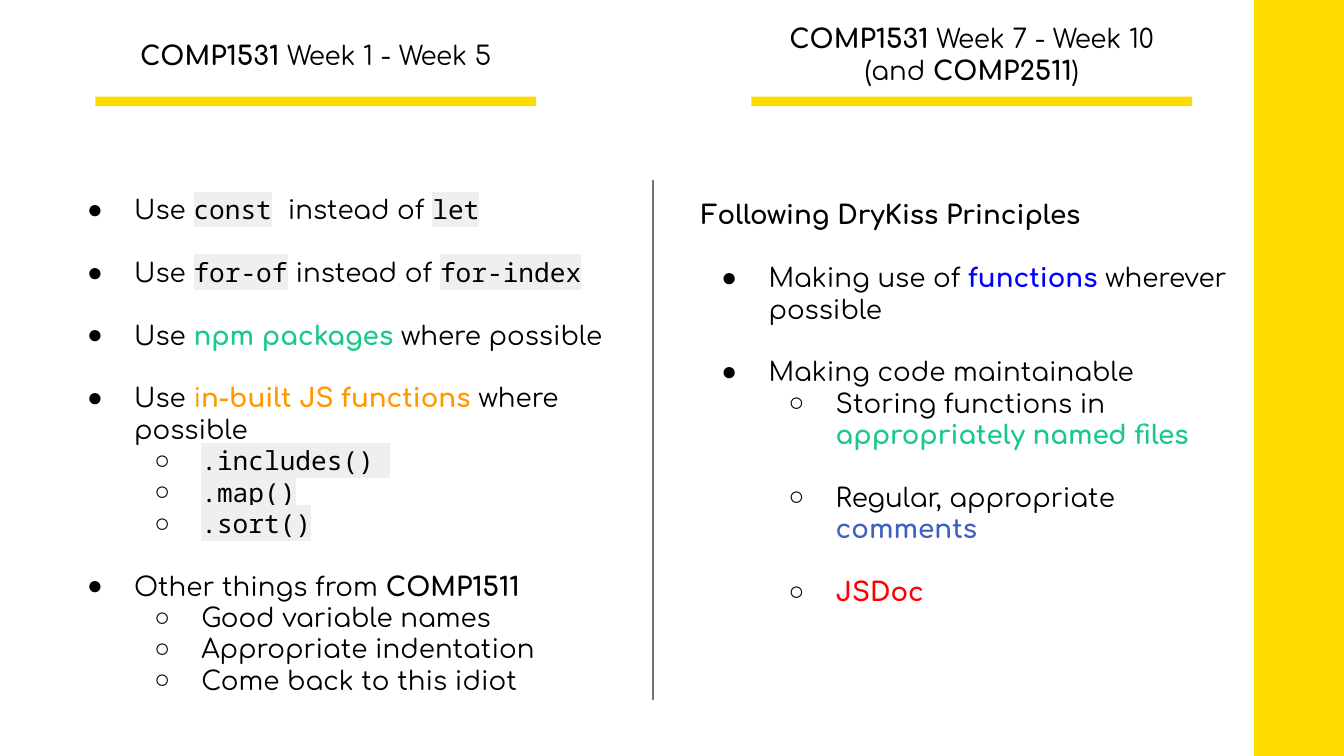
"""Build a slide comparing the code style topics of two halves of a course."""
from lxml.etree import SubElement
from pptx import Presentation
from pptx.dml.color import RGBColor
from pptx.enum.shapes import MSO_CONNECTOR, MSO_SHAPE
from pptx.enum.text import MSO_ANCHOR, MSO_AUTO_SIZE, PP_ALIGN
from pptx.oxml.ns import qn
from pptx.util import Inches, Pt

COLORS = {
    "black": "000000", "yellow": "FFDC00", "gray": "737373", "code": "EFEFEF",
    "green": "1AC987", "orange": "FF9900", "blue": "0000FF", "indigo": "3F61C4",
    "red": "FF0000",
}
BULLETS = {1: "●", 2: "○"}
LINE = Pt(16.8)

deck = Presentation()
deck.slide_width = Inches(10)
deck.slide_height = deck.slide_width * 9 // 16
cell = deck.slide_width / 100
slide = deck.slides.add_slide(deck.slide_layouts[5])


def grid(*cells):
    return [round(count * cell) for count in cells]


def write(holder, paragraphs, align=PP_ALIGN.LEFT, size=14, font="Comfortaa", code_font="Noto Sans Mono"):
    frame = holder.text_frame
    frame.word_wrap = True
    frame.auto_size = MSO_AUTO_SIZE.NONE
    frame.vertical_anchor = MSO_ANCHOR.TOP
    frame.margin_left = frame.margin_top = frame.margin_right = frame.margin_bottom = Inches(0.1)
    for index, (level, gap, runs) in enumerate(paragraphs):
        paragraph = frame.add_paragraph() if index else frame.paragraphs[0]
        paragraph.alignment = align
        paragraph.line_spacing = LINE
        paragraph.space_before = LINE * gap
        if level:
            paragraph.level = level - 1
            properties = paragraph._p.get_or_add_pPr()
            properties.set("marL", str(Inches(0.5 * level)))
            properties.set("indent", str(Inches(-0.35)))
            bullet_color = SubElement(properties, qn("a:buClr"))
            SubElement(bullet_color, qn("a:srgbClr"), val=COLORS["black"])
            SubElement(properties, qn("a:buFont"), typeface="Arial")
            SubElement(properties, qn("a:buChar"), char=BULLETS[level])
        for text, color, style in runs:
            run = paragraph.add_run()
            run.text = text
            run.font.size = Pt(size)
            run.font.bold = style == "bold"
            run.font.color.rgb = RGBColor.from_string(COLORS[color])
            run.font.name = code_font if style in ("code", "mono") else font
            if style == "code":
                run_properties = run._r.get_or_add_rPr()
                highlight = SubElement(run_properties, qn("a:highlight"))
                SubElement(highlight, qn("a:srgbClr"), val=COLORS["code"])
                run_properties.find(qn("a:solidFill")).addnext(highlight)


for left, top, width, height in [(93.3, 0, 6.7, 56.25), (7.1, 7.2, 32.8, 0.7), (55.9, 7.2, 32.8, 0.7)]:
    band = slide.shapes.add_shape(MSO_SHAPE.RECTANGLE, *grid(left, top, width, height))
    band.shadow.inherit = False
    band.fill.solid()
    band.fill.fore_color.rgb = RGBColor.from_string(COLORS["yellow"])
    band.line.fill.background()

divider = slide.shapes.add_connector(MSO_CONNECTOR.STRAIGHT, *grid(48.6, 13.4, 48.6, 52.1))
divider.line.color.rgb = RGBColor.from_string(COLORS["gray"])
divider.line.width = Pt(0.75)
SubElement(divider._element.spPr, qn("a:effectLst"))

first_half = slide.shapes.title
first_half.left, first_half.top, first_half.width, first_half.height = grid(7.1, 1.9, 32.8, 4.4)
write(first_half, [
    (0, 0, [("COMP1531", "black", "bold"), (" Week 1 - Week 5", "black", "")]),
], align=PP_ALIGN.CENTER)

second_half = slide.shapes.add_textbox(*grid(55.9, 0.7, 32.8, 6.7))
write(second_half, [
    (0, 0, [("COMP1531", "black", "bold"), (" Week 7 - Week 10", "black", "")]),
    (0, 0, [("(and ", "black", ""), ("COMP2511", "black", "bold"), (")", "black", "")]),
], align=PP_ALIGN.CENTER)

syntax_topics = slide.shapes.add_textbox(*grid(4, 13.4, 42, 39.7))
write(syntax_topics, [
    (1, 0, [("Use ", "black", ""), ("const", "black", "code"), (" ", "black", "mono"),
            ("instead of ", "black", ""), ("let", "black", "code")]),
    (1, 1, [("Use ", "black", ""), ("for-of", "black", "code"),
            (" instead of ", "black", ""), ("for-index", "black", "code")]),
    (1, 1, [("Use ", "black", ""), ("npm packages", "green", "bold"), (" where possible", "black", "")]),
    (1, 1, [("Use ", "black", ""), ("i", "orange", ""), ("n-built JS functions", "orange", "bold"),
            (" where possible", "black", "")]),
    (2, 0, [(".includes() ", "black", "code")]),
    (2, 0, [(".map()", "black", "code")]),
    (2, 0, [(".sort()", "black", "code")]),
    (1, 1, [("Other things from ", "black", ""), ("COMP1511", "black", "bold")]),
    (2, 0, [("Good variable names", "black", "")]),
    (2, 0, [("Appropriate indentation", "black", "")]),
    (2, 0, [("Come back to this idiot", "black", "")]),
])

design_topics = slide.shapes.add_textbox(*grid(51.2, 13.8, 42, 32.7))
write(design_topics, [
    (0, 0, [("Following DryKiss Principles", "black", "bold")]),
    (1, 1, [("Making use of ", "black", ""), ("functions ", "blue", "bold"),
            ("wherever possible", "black", "")]),
    (1, 1, [("Making code maintainable", "black", "")]),
    (2, 0, [("Storing functions in ", "black", ""), ("appropriately named files", "green", "bold")]),
    (2, 1, [("Regular, appropriate ", "black", ""), ("comments", "indigo", "bold")]),
    (2, 1, [("JSDoc", "red", "bold")]),
])

deck.save("out.pptx")
